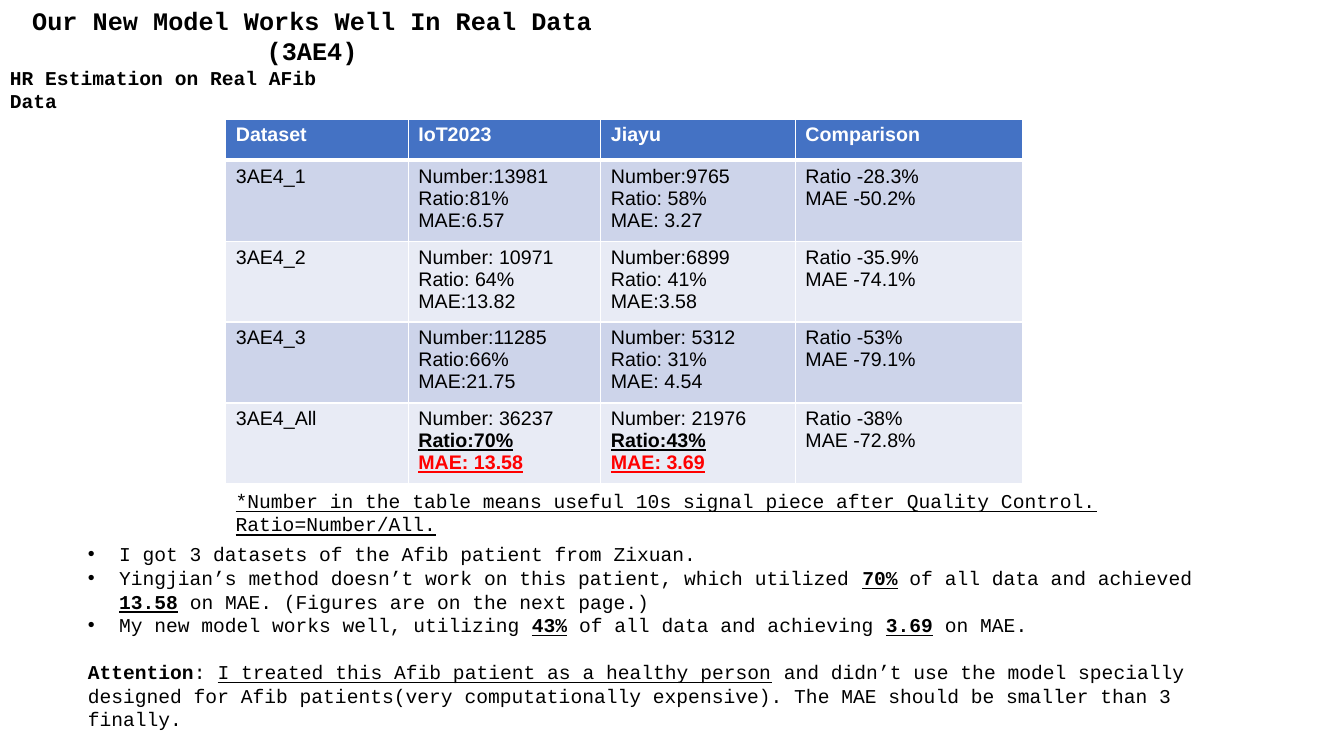
import pptx
import pptx.util
import pptx.dml.color
import pptx.enum.text
import pptx.oxml
import pptx.oxml.ns

BLACK = pptx.dml.color.RGBColor(0x00, 0x00, 0x00)
WHITE = pptx.dml.color.RGBColor(0xFF, 0xFF, 0xFF)
RED = pptx.dml.color.RGBColor(0xFF, 0x00, 0x00)
HEADER_BLUE = pptx.dml.color.RGBColor(0x44, 0x72, 0xC4)
BAND_DARK = pptx.dml.color.RGBColor(0xCD, 0xD4, 0xEA)
BAND_LIGHT = pptx.dml.color.RGBColor(0xE8, 0xEB, 0xF5)

presentation = pptx.Presentation()
presentation.slide_width = pptx.util.Inches(13.33)
presentation.slide_height = pptx.util.Inches(7.5)
slide = presentation.slides.add_slide(presentation.slide_layouts[1])

# Grid of 100 columns by 100 rows
COLUMN = presentation.slide_width / 100
ROW = presentation.slide_height / 100


def write_text(paragraph, text, size=14, font="Courier New", color=BLACK, bold=False, underline=False):
    run = paragraph.add_run()
    run.text = text
    run.font.size = pptx.util.Pt(size)
    run.font.name = font
    run.font.color.rgb = color
    run.font.bold = bold
    run.font.underline = underline


def place(shape, left, top, width, height):
    shape.left, shape.width = int(left * COLUMN), int(width * COLUMN)
    shape.top, shape.height = int(top * ROW), int(height * ROW)
    frame = shape.text_frame
    frame.word_wrap = True
    frame.auto_size = pptx.enum.text.MSO_AUTO_SIZE.NONE
    frame.vertical_anchor = pptx.enum.text.MSO_ANCHOR.TOP
    return frame


# Title
title = place(slide.shapes.title, 0, 0, 46.43, 5.33).paragraphs[0]
title.alignment = pptx.enum.text.PP_ALIGN.CENTER
write_text(title, "Our New Model Works Well In Real Data (3AE4)", size=18, bold=True)

# Results table
column_widths = [13.58, 14.33, 14.48, 16.88]
row_heights = [5.47] + [10.7] * 4
results = [
    ["Dataset", "IoT2023", "Jiayu", "Comparison"],
    ["3AE4_1", "Number:13981\nRatio:81%\nMAE:6.57", "Number:9765\nRatio: 58%\nMAE: 3.27",
     "Ratio -28.3%\nMAE -50.2%"],
    ["3AE4_2", "Number: 10971\nRatio: 64%\nMAE:13.82", "Number:6899\nRatio: 41%\nMAE:3.58",
     "Ratio -35.9%\nMAE -74.1%"],
    ["3AE4_3", "Number:11285\nRatio:66%\nMAE:21.75", "Number: 5312\nRatio: 31%\nMAE: 4.54",
     "Ratio -53%\nMAE -79.1%"],
    ["3AE4_All", "Number: 36237\nRatio:70%\nMAE: 13.58", "Number: 21976\nRatio:43%\nMAE: 3.69",
     "Ratio -38%\nMAE -72.8%"],
]
table = slide.shapes.add_table(
    len(row_heights), len(column_widths), int(16.8 * COLUMN), int(15.73 * ROW),
    int(sum(column_widths) * COLUMN), int(sum(row_heights) * ROW)).table
for column, width in zip(table.columns, column_widths):
    column.width = int(width * COLUMN)

for row_index, values in enumerate(results):
    table.rows[row_index].height = int(row_heights[row_index] * ROW)
    is_header = row_index == 0
    is_total = row_index == len(results) - 1
    band = BAND_DARK if row_index % 2 else BAND_LIGHT
    for column_index, value in enumerate(values):
        cell = table.cell(row_index, column_index)
        for line_index, line in enumerate(value.split("\n")):
            paragraph = cell.text_frame.paragraphs[0] if line_index == 0 else cell.text_frame.add_paragraph()
            is_key = is_total and column_index in (1, 2) and line_index > 0
            color = WHITE if is_header else RED if is_key and line_index == 2 else BLACK
            write_text(paragraph, line, font="Arial", color=color, bold=is_header or is_key, underline=is_key)

        # White borders, thicker between header and body
        properties = cell._tc.get_or_add_tcPr()
        for side in ("L", "R", "T", "B"):
            thick = (is_header and side == "B") or (row_index == 1 and side == "T")
            properties.append(pptx.oxml.parse_xml(
                f'<a:ln{side} {pptx.oxml.ns.nsdecls("a")} w="{pptx.util.Pt(3 if thick else 1)}">'
                f'<a:solidFill><a:srgbClr val="{WHITE}"/></a:solidFill></a:ln{side}>'))
        cell.fill.solid()
        cell.fill.fore_color.rgb = HEADER_BLUE if is_header else band

# Subtitle and table note
subtitle = place(slide.shapes.add_textbox(0, 0, 0, 0), 0, 8, 27.83, 4.53)
write_text(subtitle.paragraphs[0], "HR Estimation on Real AFib Data", bold=True)
note = place(slide.shapes.add_textbox(0, 0, 0, 0), 16.8, 64, 79.97, 4.53)
write_text(note.paragraphs[0],
           "*Number in the table means useful 10s signal piece after Quality Control. Ratio=Number/All.",
           underline=True)

# Findings: three bullets and a closing remark
strong = {"bold": True, "underline": True}
findings = [
    [("I got 3 datasets of the Afib patient from Zixuan.", {})],
    [("Yingjian’s method doesn’t work on this patient, which utilized ", {}), ("70%", strong),
     (" of all data and achieved ", {}), ("13.58", strong),
     (" on MAE. (Figures are on the next page.)", {})],
    [("My new model works well, utilizing ", {}), ("43%", strong),
     (" of all data and achieving ", {}), ("3.69", strong), (" on MAE.", {})],
    [("Attention", {"bold": True}), (": ", {}),
     ("I treated this Afib patient as a healthy person", {"underline": True}),
     (" and didn’t use the model specially designed for Afib patients(very computationally expensive). "
      "The MAE should be smaller than 3 finally.", {})],
]
body = place(slide.placeholders[1], 5.78, 71.07, 88.45, 23.33)
for index, pieces in enumerate(findings):
    paragraph = body.paragraphs[0] if index == 0 else body.add_paragraph()
    is_remark = index == len(findings) - 1
    paragraph.space_before = pptx.util.Pt(16.8 if is_remark else 0)
    properties = paragraph._p.get_or_add_pPr()
    indent = 0 if is_remark else pptx.util.Inches(0.31)
    properties.set("marL", str(indent))
    properties.set("indent", str(-indent))
    bullet = "<a:buNone {0}/>" if is_remark else '<a:buChar {0} char="•"/>'
    if not is_remark:
        properties.append(pptx.oxml.parse_xml(
            f'<a:buFont {pptx.oxml.ns.nsdecls("a")} typeface="Arial"/>'))
    properties.append(pptx.oxml.parse_xml(bullet.format(pptx.oxml.ns.nsdecls("a"))))
    for text, text_format in pieces:
        write_text(paragraph, text, **text_format)

presentation.save("out.pptx")
